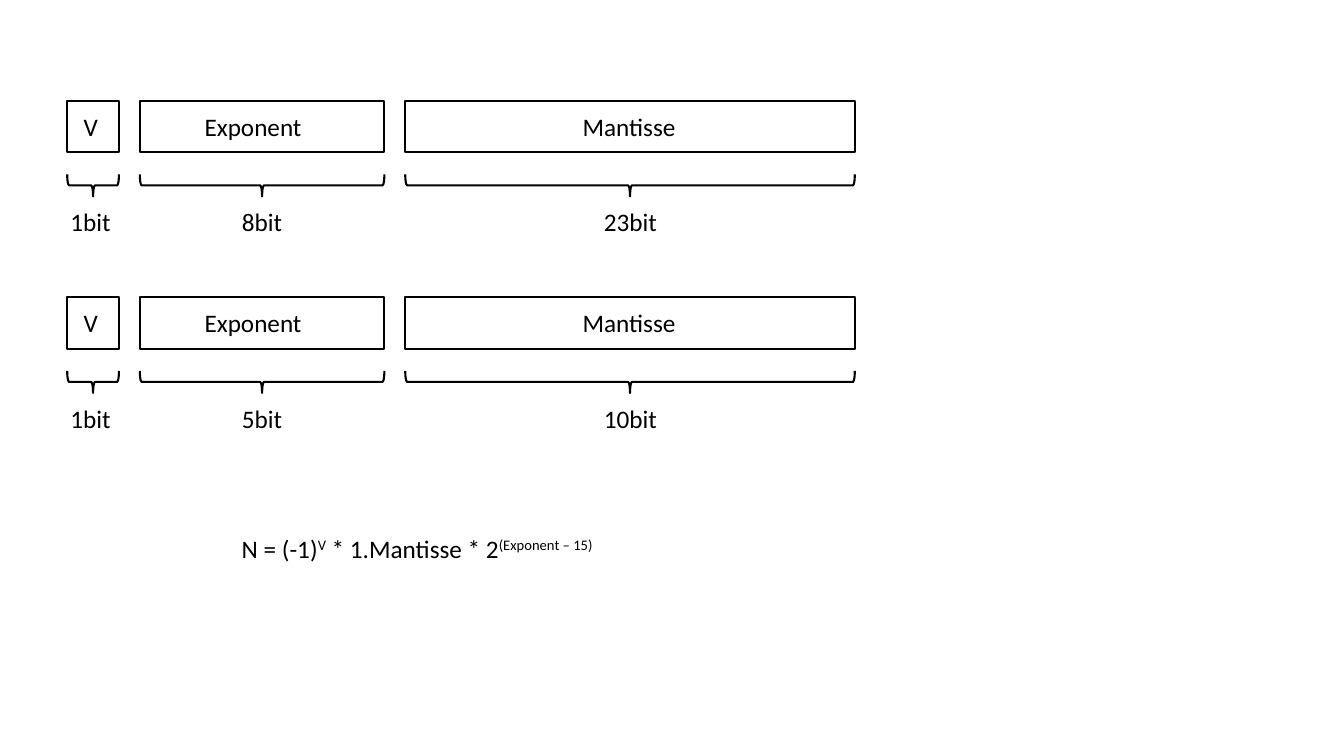
from pptx import Presentation
from pptx.dml.color import RGBColor
from pptx.enum.shapes import MSO_SHAPE
from pptx.enum.text import MSO_AUTO_SIZE
from pptx.util import Inches, Pt

RECTANGLE = MSO_SHAPE.RECTANGLE
BRACE = MSO_SHAPE.RIGHT_BRACE
FIT_TEXT = MSO_AUTO_SIZE.SHAPE_TO_FIT_TEXT

# All lengths are percentages of the slide's width or height.
FORMAT_TOPS = (13.33, 39.33)
BOX_HEIGHT = 6.8
BRACE_DROP, BRACE_HEIGHT = 9.73, 2.93
NAME_DROP, BITS_DROP = 0.67, 13.33
TEXT_HEIGHT = 5.33

# Name, (left, width) of the box, of its name and of its bit count
FIELDS = (
    ("V", (5, 3.85), (5.48, 2.63), (4.5, 4.58)),
    ("Exponent", (10.4, 18.2), (14.48, 8.78), (17.25, 4.58)),
    ("Mantisse", (30.15, 33.45), (42.61, 8.48), (44.19, 5.48)),
)
BIT_COUNTS = ((1, 8, 23), (1, 5, 10))
FORMULA = (
    ("N = (-1)", False),
    ("V", True),
    (" * 1.Mantisse * 2", False),
    ("(Exponent – 15)", True),
)


def colour(hex_string):
    return RGBColor.from_string(hex_string)


class Sketch:
    """Draws on one slide in a single style."""

    ink = "000000"
    line_width = Pt(1.5)
    font_format = {"name": "Calibri", "size": Pt(18)}

    def __init__(self, deck):
        self.deck = deck
        self.page = deck.slides.add_slide(deck.slide_layouts[6])

    def frame(self, left, top, width, height):
        """Turn percentages of the slide into lengths."""
        across, down = self.deck.slide_width, self.deck.slide_height
        return [round(share * whole / 100) for share, whole in
                ((left, across), (top, down), (width, across), (height, down))]

    def outline(self, kind, frame):
        shape = self.page.shapes.add_shape(kind, *frame)
        shape.shadow.inherit = False
        shape.fill.background()
        shape.line.color.rgb = colour(self.ink)
        shape.line.width = self.line_width
        return shape

    def box(self, left, top, width, height):
        self.outline(RECTANGLE, self.frame(left, top, width, height))

    def brace_below(self, left, top, width, height):
        """Add a brace that fills the given area and points down."""
        x, y, across, down = self.frame(left, top, width, height)
        shift = (across - down) // 2
        brace = self.outline(BRACE, (x + shift, y - shift, down, across))
        brace.rotation = 90

    def text(self, left, top, width, spans):
        """Add one line made of (words, is superscript) pairs."""
        box = self.page.shapes.add_textbox(
            *self.frame(left, top, width, TEXT_HEIGHT))
        box.text_frame.word_wrap = False
        box.text_frame.auto_size = FIT_TEXT
        para = box.text_frame.paragraphs[0]
        for words, raised in spans:
            span = para.add_run()
            span.text = words
            for key, value in self.font_format.items():
                setattr(span.font, key, value)
            span.font.color.rgb = colour(self.ink)
            if raised:
                span._r.get_or_add_rPr().set("baseline", "30000")

    def number_format(self, top, bit_counts):
        """Draw the fields of a floating-point format with their sizes."""
        for field, bits in zip(FIELDS, bit_counts):
            name, (left, width), name_place, bits_place = field
            self.box(left, top, width, BOX_HEIGHT)
            self.brace_below(left, top + BRACE_DROP, width, BRACE_HEIGHT)
            for words, (text_left, text_width), drop in (
                    (name, name_place, NAME_DROP),
                    (f"{bits}bit", bits_place, BITS_DROP)):
                self.text(text_left, top + drop, text_width, [(words, False)])


def main():
    deck = Presentation()
    deck.slide_width, deck.slide_height = Inches(13.33), Inches(7.5)
    sketch = Sketch(deck)
    for top, bit_counts in zip(FORMAT_TOPS, BIT_COUNTS):
        sketch.number_format(top, bit_counts)
    sketch.text(17.25, 69.87, 29.11, FORMULA)
    deck.save("out.pptx")


if __name__ == "__main__":
    main()
